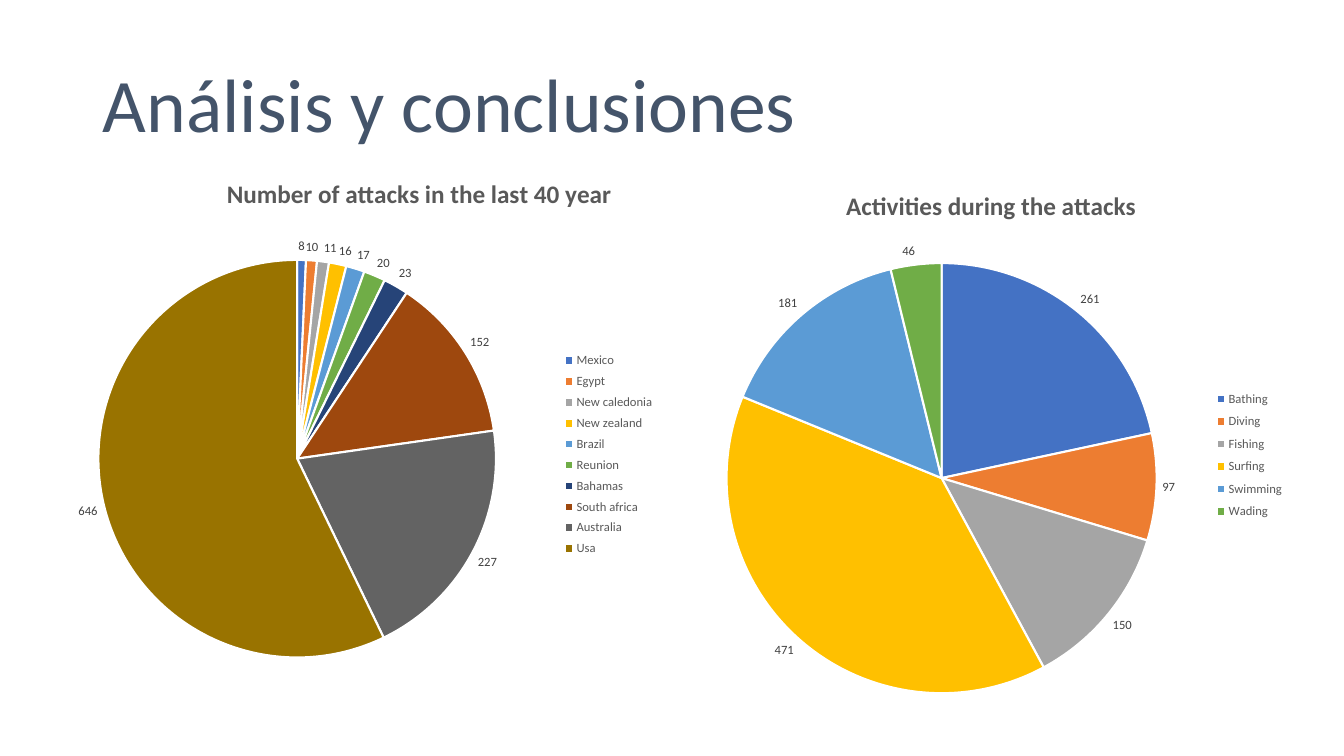
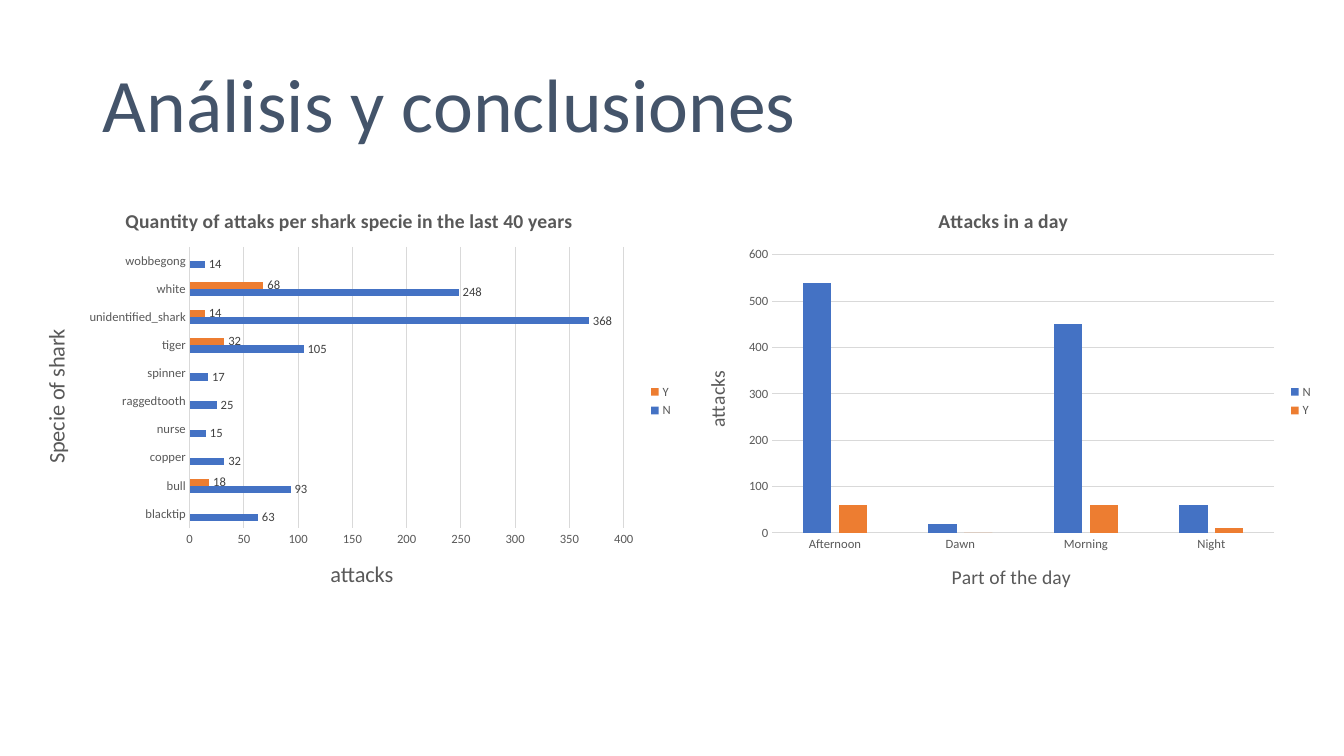
from lxml import etree
from pptx import Presentation
from pptx.chart.data import CategoryChartData
from pptx.dml.color import RGBColor
from pptx.enum.chart import (XL_CHART_TYPE, XL_LABEL_POSITION,
                             XL_LEGEND_POSITION, XL_TICK_MARK)
from pptx.enum.text import MSO_ANCHOR, PP_ALIGN
from pptx.oxml.ns import qn
from pptx.util import Cm, Pt

PIE = XL_CHART_TYPE.PIE
BAR = XL_CHART_TYPE.BAR_CLUSTERED
COLUMN = XL_CHART_TYPE.COLUMN_CLUSTERED
OUTSIDE_END = XL_LABEL_POSITION.OUTSIDE_END
LEGEND_RIGHT = XL_LEGEND_POSITION.RIGHT
NO_TICK = XL_TICK_MARK.NONE
MIDDLE = MSO_ANCHOR.MIDDLE
LEFT = PP_ALIGN.LEFT

FONT = "Calibri"
WHITE = RGBColor(0xFF, 0xFF, 0xFF)
BLACK = RGBColor(0x00, 0x00, 0x00)
SLATE = RGBColor(0x44, 0x54, 0x6A)
GREY_TEXT = RGBColor(0x59, 0x59, 0x59)
LABEL_TEXT = RGBColor(0x40, 0x40, 0x40)
GRID = RGBColor(0xD9, 0xD9, 0xD9)
BLUE = RGBColor(0x44, 0x72, 0xC4)
ORANGE = RGBColor(0xED, 0x7D, 0x31)
PALETTE = [BLUE, ORANGE, RGBColor(0xA5, 0xA5, 0xA5), RGBColor(0xFF, 0xC0, 0x00),
           RGBColor(0x5B, 0x9B, 0xD5), RGBColor(0x70, 0xAD, 0x47),
           RGBColor(0x26, 0x44, 0x78), RGBColor(0x9E, 0x48, 0x0E),
           RGBColor(0x63, 0x63, 0x63), RGBColor(0x99, 0x73, 0x00)]


def set_font(font, size, color, bold=False):
    font.name = FONT
    font.size = Pt(size)
    font.bold = bold
    font.color.rgb = color


def place(element, index, frame, box, inner=False):
    """Fix a chart part at a box in slide centimetres: left, top[, width, height]."""
    old_layout = element.find(qn("c:layout"))
    if old_layout is not None:
        element.remove(old_layout)
    layout = etree.Element(qn("c:layout"))
    manual = etree.SubElement(layout, qn("c:manualLayout"))
    settings = [("layoutTarget", "inner")] if inner else []
    settings += [("xMode", "edge"), ("yMode", "edge")]
    left, top, width, height = frame
    fractions = [(box[0] - left) / width, (box[1] - top) / height]
    if len(box) == 4:
        fractions += [box[2] / width, box[3] / height]
    settings += zip("xywh", fractions)
    for name, value in settings:
        etree.SubElement(manual, qn(f"c:{name}")).set("val", str(value))
    element.insert(index, layout)


class Deck:
    """Holds the shared style and the current slide."""

    def __init__(self):
        self.presentation = Presentation()
        self.presentation.slide_width = Cm(33.87)
        self.presentation.slide_height = Cm(19.05)
        self.slide = None

    def new_slide(self, title):
        layout = self.presentation.slide_layouts[5]
        self.slide = self.presentation.slides.add_slide(layout)
        shape = self.slide.shapes.title
        shape.left, shape.top = Cm(2.34), Cm(1.02)
        shape.width, shape.height = Cm(29.21), Cm(3.68)
        shape.text_frame.text = title
        shape.text_frame.vertical_anchor = MIDDLE
        paragraph = shape.text_frame.paragraphs[0]
        paragraph.alignment = LEFT
        paragraph.line_spacing = 0.7
        paragraph.space_before = Pt(10)
        set_font(paragraph.font, 54, SLATE)

    def heading(self, title, text, size, frame, position, bold=False):
        """Write the title of a chart or an axis."""
        title.text_frame.text = text
        set_font(title.text_frame.paragraphs[0].font, size, GREY_TEXT, bold)
        place(title._element, 1, frame, position)

    def chart(self, kind, frame, plot_box, title, categories, series):
        """Add a chart; title is (text, size, position)."""
        data = CategoryChartData()
        data.categories = categories
        for name, values in series:
            data.add_series(name, values)
        shape = self.slide.shapes.add_chart(kind, *map(Cm, frame), data)
        chart = shape.chart
        set_font(chart.font, 10, BLACK)
        chart.has_title = True
        text, size, position = title
        self.heading(chart.chart_title, text, size, frame, position, bold=True)
        chart.has_legend = True
        chart.legend.position = LEGEND_RIGHT
        chart.legend.include_in_layout = False
        set_font(chart.legend.font, 9, GREY_TEXT)
        plot_area = chart._chartSpace.chart.plotArea
        place(plot_area, 0, frame, plot_box, inner=True)
        return chart

    def value_labels(self, series):
        labels = series.data_labels
        labels.show_value = True
        labels.position = OUTSIDE_END
        set_font(labels.font, 9, LABEL_TEXT)

    def pie(self, frame, plot_box, legend_box, title, counts):
        chart = self.chart(PIE, frame, plot_box, title, list(counts),
                           [("Series 1", list(counts.values()))])
        place(chart.legend._element, 1, frame, legend_box)
        chart.plots[0].vary_by_categories = True
        series = chart.plots[0].series[0]
        for index in range(len(counts)):
            point_format = series.points[index].format
            point_format.fill.solid()
            point_format.fill.fore_color.rgb = PALETTE[index]
            point_format.line.color.rgb = WHITE
            point_format.line.width = Pt(1.5)
        self.value_labels(series)

    def bars(self, kind, frame, plot_box, title, axis_titles, categories,
             series, gap, overlap=0, labels=False):
        """Add bars; axis_titles are (text, size, position) for category, value."""
        chart = self.chart(kind, frame, plot_box, title, categories, series)
        plot = chart.plots[0]
        plot.vary_by_categories = False
        plot.gap_width = gap
        plot.overlap = overlap
        for one_series, color in zip(plot.series, (BLUE, ORANGE)):
            one_series.format.fill.solid()
            one_series.format.fill.fore_color.rgb = color
            one_series.invert_if_negative = False
            if labels:
                self.value_labels(one_series)

        axes = (chart.category_axis, chart.value_axis)
        for axis, (text, size, position) in zip(axes, axis_titles):
            axis.major_tick_mark = axis.minor_tick_mark = NO_TICK
            set_font(axis.tick_labels.font, 9, GREY_TEXT)
            self.heading(axis.axis_title, text, size, frame, position)
        chart.category_axis.has_major_gridlines = False
        chart.value_axis.has_major_gridlines = True
        grid_line = chart.value_axis.major_gridlines.format.line
        for line in (chart.category_axis.format.line, grid_line):
            line.color.rgb = GRID
            line.width = Pt(0.75)
        chart.value_axis.format.line.fill.background()

        # Turn the title of the upright axis
        upright = axes[0] if kind == BAR else axes[1]
        body = upright.axis_title._element.find(f".//{qn('a:bodyPr')}")
        body.set("rot", "-5400000")
        body.set("vert", "horz")


def main():
    deck = Deck()
    slide_title = "Análisis y conclusiones"

    # Countries and activities
    deck.new_slide(slide_title)
    deck.pie((-2.01, 3.78, 21.11, 13.61), (2.48, 6.55, 10.02, 10.02),
             (14.09, 8.75, 2.5, 5.42),
             ("Number of attacks in the last 40 year", 18, (5.6, 4.34)),
             {"Mexico": 8, "Egypt": 10, "New caledonia": 11, "New zealand": 16,
              "Brazil": 17, "Reunion": 20, "Bahamas": 23, "South africa": 152,
              "Australia": 227, "Usa": 646})
    deck.pie((14.43, 4.22, 21.11, 13.61), (18.31, 6.63, 10.84, 10.84),
             (30.44, 9.67, 2.1, 3.6),
             ("Activities during the attacks", 18, (21.21, 4.63)),
             {"Bathing": 261, "Diving": 97, "Fishing": 150, "Surfing": 471,
              "Swimming": 181, "Wading": 46})

    # Species and time of day
    deck.new_slide(slide_title)
    deck.bars(BAR, (0.53, 4.8, 16.69, 10.62), (4.78, 6.22, 10.94, 7.09),
              ("Quantity of attaks per shark specie in the last 40 years", 14,
               (3.07, 5.14)),
              [("Specie of shark", 16, (0.93, 8.19)),
               ("attacks", 16, (8.22, 13.98))],
              ["blacktip", "bull", "copper", "nurse", "raggedtooth", "spinner",
               "tiger", "unidentified_shark", "white", "wobbegong"],
              [("N", [63, 93, 32, 15, 25, 17, 105, 368, 248, 14]),
               ("Y", [None, 18, None, None, None, None, 32, 14, 68, None])],
              gap=182, labels=True)
    deck.bars(COLUMN, (17.2, 4.8, 16.15, 10.62), (19.46, 6.42, 12.65, 7.01),
              ("Attacks in a day", 14, (23.56, 5.14)),
              [("Part of the day", 14, (23.89, 14.11)),
               ("attacks", 14, (17.64, 9.25))],
              ["Afternoon", "Dawn", "Morning", "Night"],
              [("N", [540, 20, 450, 60]), ("Y", [60, 0, 60, 10])],
              gap=219, overlap=-27)

    deck.presentation.save("out.pptx")


if __name__ == "__main__":
    main()
